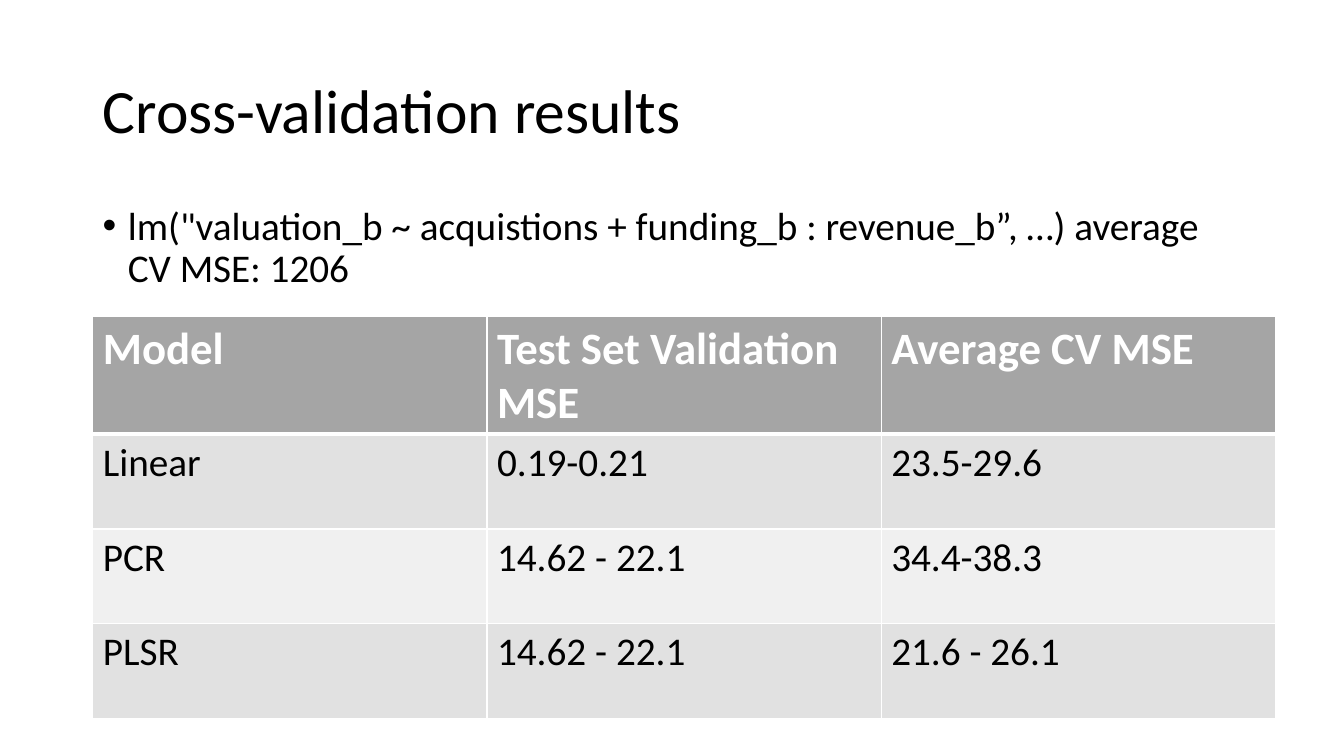
"""Build the slide of cross-validation results with its model table."""
from lxml import etree
from pptx import Presentation
from pptx.dml.color import RGBColor
from pptx.enum.text import MSO_ANCHOR
from pptx.oxml.ns import qn
from pptx.util import Inches, Pt

MIDDLE = MSO_ANCHOR.MIDDLE
BLACK = RGBColor(0x00, 0x00, 0x00)
WHITE = RGBColor(0xFF, 0xFF, 0xFF)
HEAD = RGBColor(0xA5, 0xA5, 0xA5)
BANDS = [RGBColor(0xF0, 0xF0, 0xF0), RGBColor(0xE1, 0xE1, 0xE1)]
LEFT = Inches(0.92)
WIDE = Inches(11.5)
ROWS = [
    ["Model", "Test Set Validation MSE", "Average CV MSE"],
    ["Linear", "0.19-0.21", "23.5-29.6"],
    ["PCR", "14.62 - 22.1", "34.4-38.3"],
    ["PLSR", "14.62 - 22.1", "21.6 - 26.1"],
]


def style(para, size, color, bold=False):
    for run in para.runs:
        run.font.name = "Calibri"
        run.font.size = Pt(size)
        run.font.bold = bold
        run.font.color.rgb = color


def border(cell, side, width):
    line = etree.SubElement(cell._tc.get_or_add_tcPr(), qn("a:" + side), w=str(Pt(width)))
    fill = etree.SubElement(line, qn("a:solidFill"))
    etree.SubElement(fill, qn("a:srgbClr"), val=str(WHITE))


deck = Presentation()
deck.slide_width = Inches(13.33)
deck.slide_height = Inches(7.5)
slide = deck.slides.add_slide(deck.slide_layouts[6])

title = slide.shapes.add_textbox(LEFT, Inches(0.4), WIDE, Inches(1.45)).text_frame
title.word_wrap = True
title.vertical_anchor = MIDDLE
title.text = "Cross-validation results"
title.paragraphs[0].line_spacing = 0.9
style(title.paragraphs[0], 44, BLACK)

body = slide.shapes.add_textbox(LEFT, Inches(2), WIDE, Inches(4.76)).text_frame
body.word_wrap = True
body.text = 'lm("valuation_b ~ acquistions + funding_b : revenue_b”, …) average CV MSE: 1206'
point = body.paragraphs[0]
point.line_spacing = 0.9
props = point._p.get_or_add_pPr()
props.set("marL", str(Inches(0.25)))
props.set("indent", str(-Inches(0.25)))
etree.SubElement(props, qn("a:buFont"), typeface="Arial")
etree.SubElement(props, qn("a:buChar"), char="•")
style(point, 28, BLACK)

table = slide.shapes.add_table(
    len(ROWS), len(ROWS[0]), LEFT, Inches(3.14), Inches(11.73), Inches(3.75)
).table
for col in table.columns:
    col.width = Inches(3.91)
for r, texts in enumerate(ROWS):
    top = r == 0
    table.rows[r].height = Inches(0.93 if top else 0.94)
    for c, text in enumerate(texts):
        cell = table.cell(r, c)
        cell.text = text
        style(cell.text_frame.paragraphs[0], 32 if top else 28, WHITE if top else BLACK, top)
        for side in ("lnL", "lnR"):
            border(cell, side, 1)
        border(cell, "lnT", 3 if r == 1 else 1)
        border(cell, "lnB", 3 if top else 1)
        cell.fill.solid()
        cell.fill.fore_color.rgb = HEAD if top else BANDS[r % 2]

deck.save("out.pptx")
